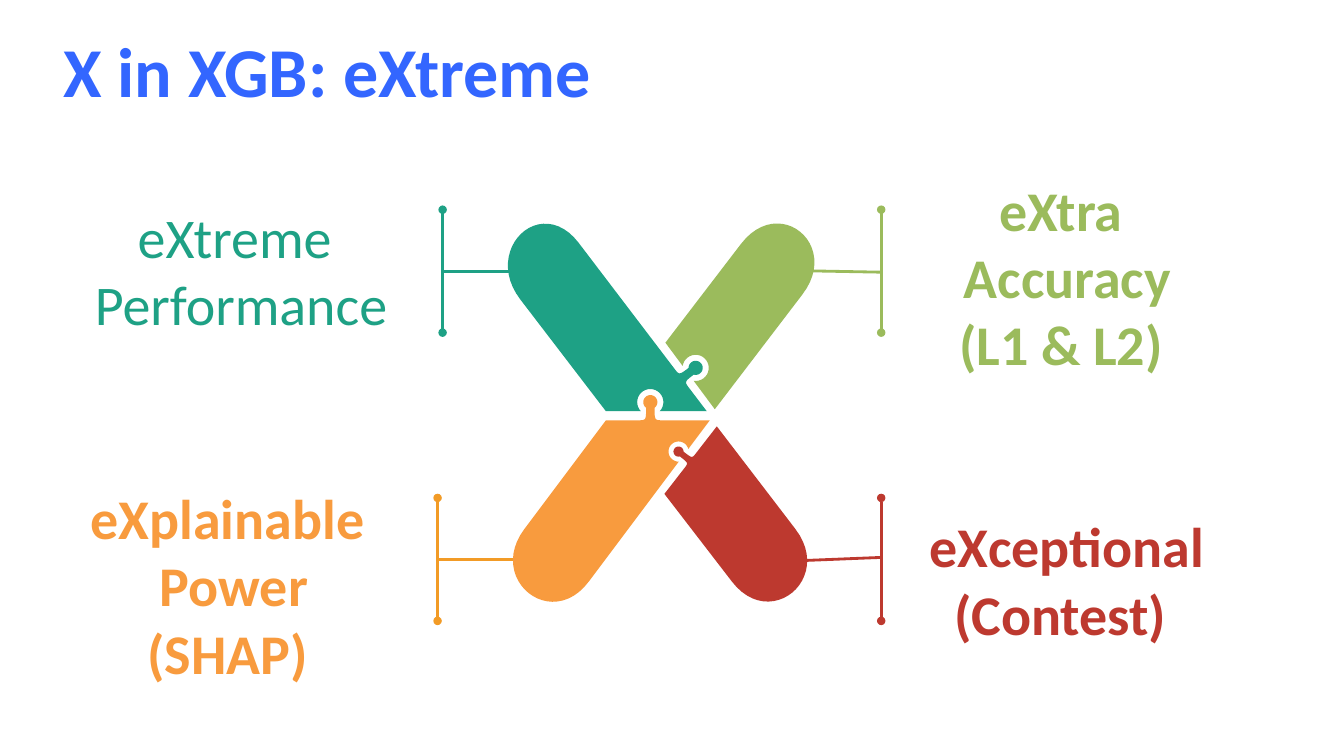
from dataclasses import dataclass, field
from math import asin, cos, pi, sin

from lxml.etree import SubElement
from pptx import Presentation
from pptx.dml.color import RGBColor
from pptx.enum.shapes import MSO_CONNECTOR as Link
from pptx.enum.text import MSO_ANCHOR as Anchor, MSO_AUTO_SIZE as Fit, PP_ALIGN as Align
from pptx.oxml.ns import qn
from pptx.util import Inches, Pt

TEAL = RGBColor(0x1E, 0xA1, 0x85)
GREEN = RGBColor(0x9B, 0xBB, 0x5C)
ORANGE = RGBColor(0xF8, 0x9B, 0x3E)
AMBER = RGBColor(0xF2, 0x9B, 0x26)
RED = RGBColor(0xBD, 0x39, 0x2F)
BLUE = RGBColor(0x33, 0x66, 0xFF)
FONT = "Calibri"
BAR = 1.22  # height of each bracket bar
REACH = 0.62  # how far the handles of a round end stick out
STEPS = 24  # line pieces per curve

Point = tuple[float, float]


@dataclass(frozen=True)
class Joint:
    """A round knob of one piece that sits in a wider socket of the next."""
    head: Point
    knob: float  # radius
    socket: float  # radius


UP = Joint((6.45, 3.99), 0.07, 0.13)  # orange into teal
RIGHT = Joint((6.9, 3.65), 0.07, 0.13)  # teal into green
LOW = Joint((6.73, 4.48), 0.05, 0.1)  # red into orange


@dataclass
class Arm:
    text: str
    box: tuple[float, float, float, float]
    hue: RGBColor
    bar: Point  # top of the bracket bar
    stem: tuple[Point, Point]
    ends: list[Point]  # corners; the round end runs from the last to the first
    knobs: dict[int, Joint] = field(default_factory=dict)  # keyed by side
    sockets: dict[int, Joint] = field(default_factory=dict)
    ink: RGBColor | None = None  # line colour, if not the hue
    bold: bool = True


ARMS = [
    Arm("eXtreme \nPerformance", (0.45, 1.96, 3.88, 1.45), TEAL,
        bar=(4.39, 2.08), stem=((4.39, 2.69), (5.35, 2.69)),
        ends=[(5.16, 2.97), (6.01, 4.08), (7.01, 4.08), (5.74, 2.41)],
        knobs={2: RIGHT}, sockets={1: UP}, bold=False),
    Arm("eXtra \nAccuracy\n(L1 & L2) ", (8.52, 1.69, 4.13, 2.12), GREEN,
        bar=(8.74, 2.08), stem=((8.73, 2.7), (7.64, 2.68)),
        ends=[(7.35, 2.42), (6.6, 3.4), (7.09, 4.06), (7.96, 2.92)],
        sockets={1: RIGHT}),
    Arm("eXceptional\n(Contest) ", (8.81, 5.03, 3.54, 1.45), RED,
        bar=(8.74, 4.94), stem=((8.74, 5.53), (7.75, 5.57)),
        ends=[(7.89, 5.25), (7.11, 4.23), (6.59, 4.9), (7.26, 5.77)],
        knobs={1: LOW}),
    Arm("eXplainable \nPower\n(SHAP) ", (0.55, 4.75, 3.54, 2.12), ORANGE,
        bar=(4.34, 4.94), stem=((4.34, 5.55), (5.35, 5.55)),
        ends=[(5.2, 5.25), (6.01, 4.17), (7.04, 4.17), (5.84, 5.77)],
        knobs={1: UP}, sockets={2: LOW}, ink=AMBER),
]


def write(frame, text: str, *, size: int, hue: RGBColor, bold: bool = True,
          anchor: Anchor = Anchor.TOP, pitch: float = 1.0) -> None:
    frame.word_wrap = True
    frame.auto_size = Fit.NONE
    frame.vertical_anchor = anchor
    frame.text = text
    for par in frame.paragraphs:
        par.alignment = Align.CENTER
        par.line_spacing = pitch
        par.space_before = Pt(0)
        font = par.runs[0].font
        font.name, font.size, font.bold = FONT, Pt(size), bold
        font.color.rgb = hue


def join(shapes, start: Point, end: Point, hue: RGBColor, dots: bool = False) -> None:
    wire = shapes.add_connector(Link.STRAIGHT, *map(Inches, start + end))
    wire.line.color.rgb = hue
    wire.line.width = Pt(2)
    if dots:
        line = wire.line._get_or_add_ln()
        for tag in ("a:headEnd", "a:tailEnd"):
            SubElement(line, qn(tag), type="oval")
    SubElement(wire._element.spPr, qn("a:effectLst"))


# Outlines: a point is the complex number x + y*1j, so vectors add and scale
def bend(a: complex, b: complex, c: complex, d: complex) -> list[complex]:
    """Points of the cubic curve from a to d with handles b and c."""
    steps = [i / STEPS for i in range(STEPS + 1)]
    return [(1 - t)**3 * a + 3 * (1 - t)**2 * t * b + 3 * (1 - t) * t**2 * c + t**3 * d
            for t in steps]


def lock(a: complex, b: complex, joint: Joint, knob: bool) -> list[complex]:
    """Points of a knob or socket on the side from a to b."""
    head = complex(*joint.head)
    along = (b - a) / abs(b - a)
    rise = ((head - a) / along).imag  # signed distance of the head from the side
    out = along * (1j if rise > 0 else -1j)
    rise = abs(rise)
    size = joint.knob if knob else joint.socket

    # The arc starts where it meets the neck, or for a socket the side itself
    low = asin(0.8 if knob else rise / size)
    turns = [pi + low - i / STEPS * (pi + 2 * low) for i in range(STEPS + 1)]
    arc = [head + size * (cos(t) * along + sin(t) * out) for t in turns]
    if not knob:
        return arc

    # The neck flares out to the side
    foot = head - rise * out
    wide, slim = 1.8 * size * along, 0.6 * size * along
    first = bend(foot - wide, foot - slim, foot - slim, arc[0])
    last = bend(arc[-1], foot + slim, foot + slim, foot + wide)
    return first + arc + last


def trace(arm: Arm) -> list[complex]:
    ends = [complex(*end) for end in arm.ends]
    dots: list[complex] = []
    for side, (a, b) in enumerate(zip(ends, ends[1:])):
        dots.append(a)
        if side in arm.knobs:
            dots += lock(a, b, arm.knobs[side], knob=True)
        if side in arm.sockets:
            dots += lock(a, b, arm.sockets[side], knob=False)
    tip, root = ends[:2]
    push = REACH * (tip - root) / abs(tip - root)
    return dots + bend(ends[-1], ends[-1] + push, tip + push, tip)


def piece(shapes, arm: Arm) -> None:
    dots = [(Inches(dot.real), Inches(dot.imag)) for dot in trace(arm)]
    pen = shapes.build_freeform(*dots[0])
    pen.add_line_segments(dots[1:], close=True)
    form = pen.convert_to_shape()
    form.shadow.inherit = False
    form.fill.solid()
    form.fill.fore_color.rgb = arm.hue
    form.line.fill.background()


def main() -> None:
    deck = Presentation()
    deck.slide_width, deck.slide_height = Inches(13.33), Inches(7.5)
    shapes = deck.slides.add_slide(deck.slide_layouts[5]).shapes

    # Title
    title = shapes.title
    title.left, title.top, title.width, title.height = map(Inches, (0, 0.02, 6.5, 1.45))
    write(title.text_frame, "X in XGB: eXtreme", size=50, hue=BLUE,
          anchor=Anchor.MIDDLE, pitch=0.9)

    # Brackets, labels and puzzle pieces
    for arm in ARMS:
        ink = arm.ink or arm.hue
        x, y = arm.bar
        join(shapes, *arm.stem, ink)
        join(shapes, arm.bar, (x, y + BAR), ink, dots=True)
        label = shapes.add_textbox(*map(Inches, arm.box))
        write(label.text_frame, arm.text, size=40, hue=arm.hue, bold=arm.bold)
        piece(shapes, arm)

    deck.save("out.pptx")


if __name__ == "__main__":
    main()
